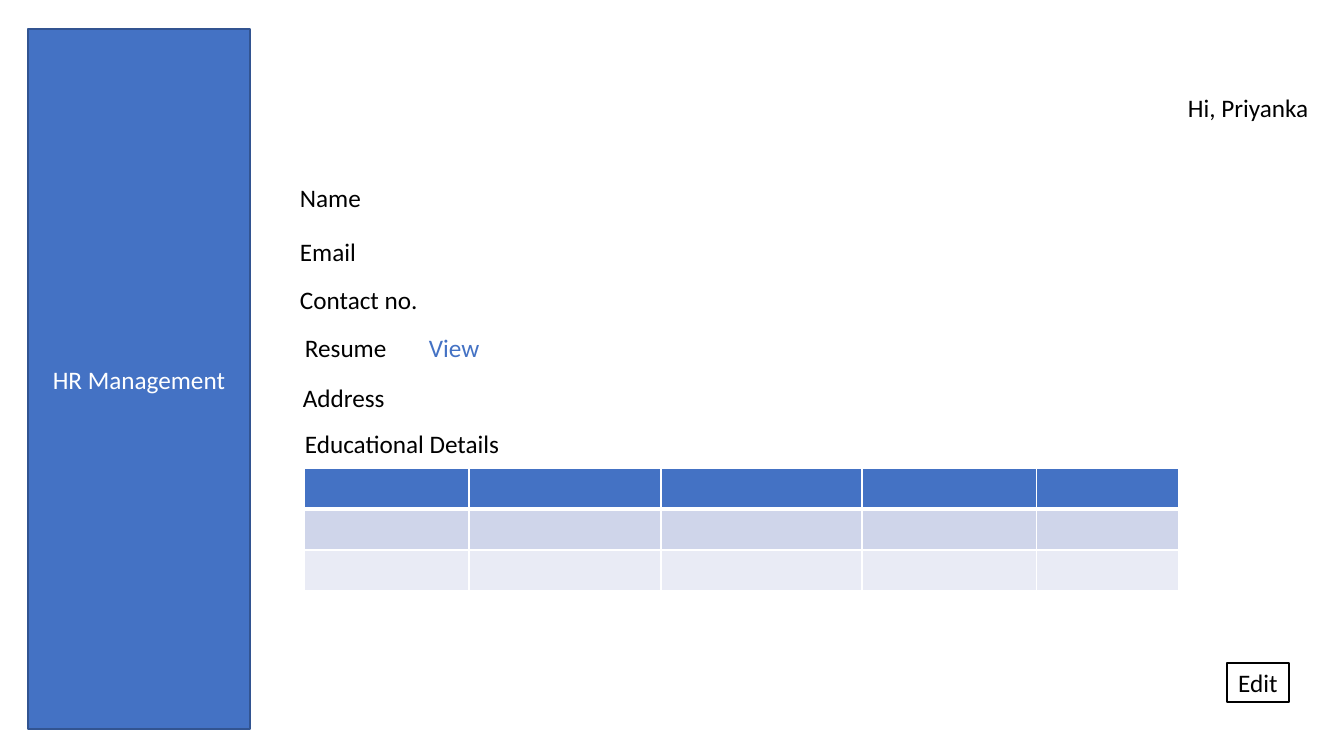
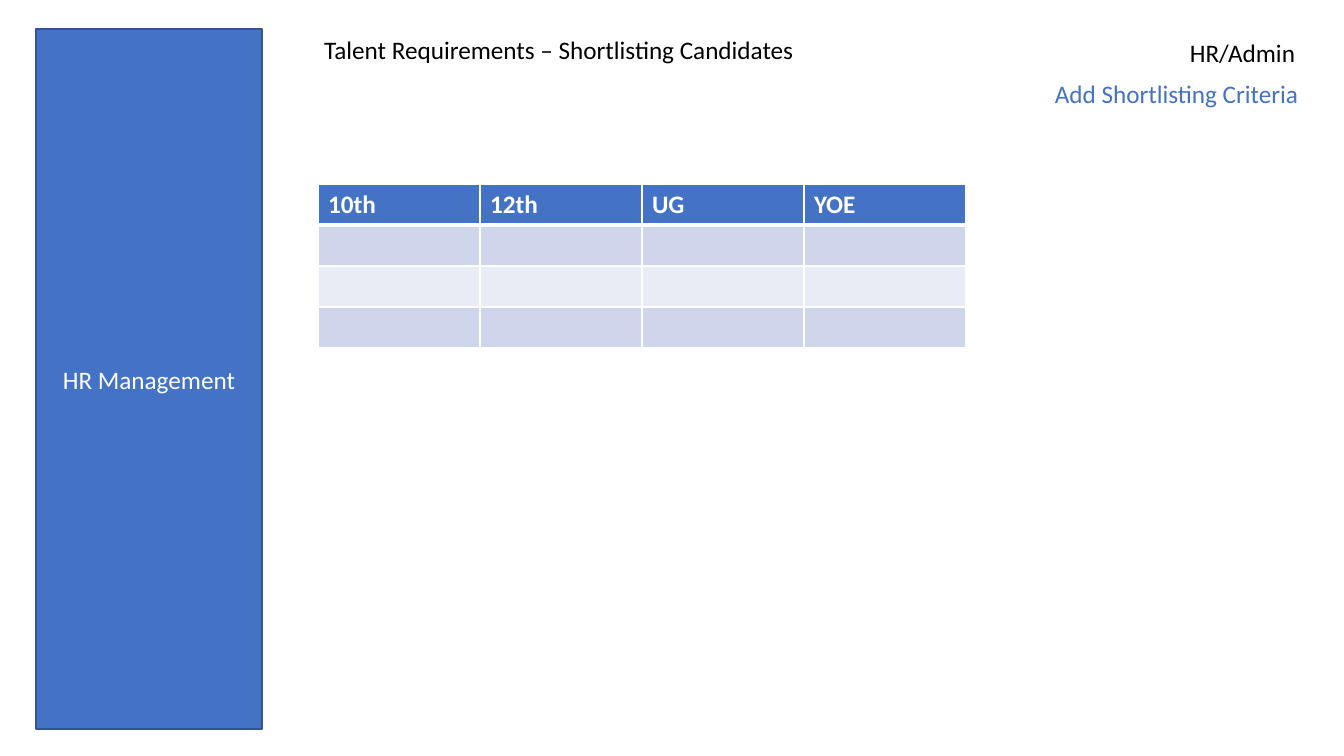
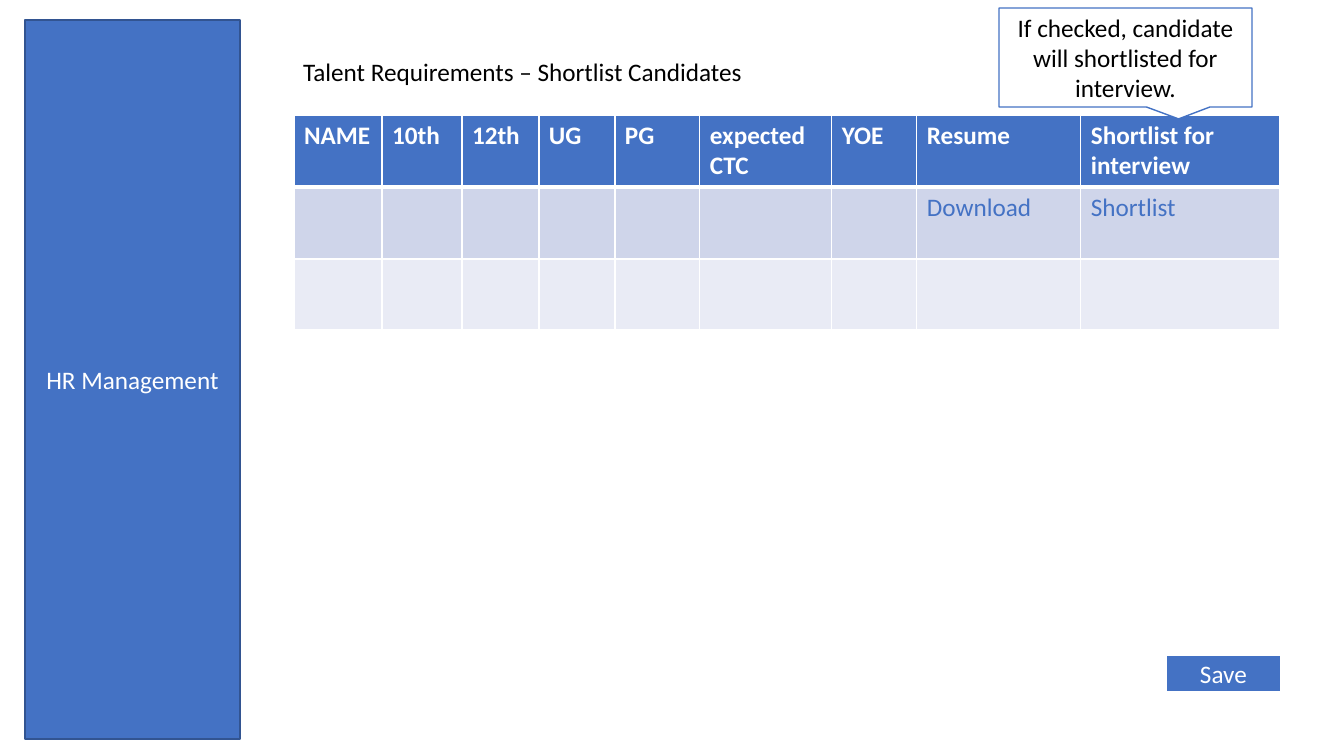
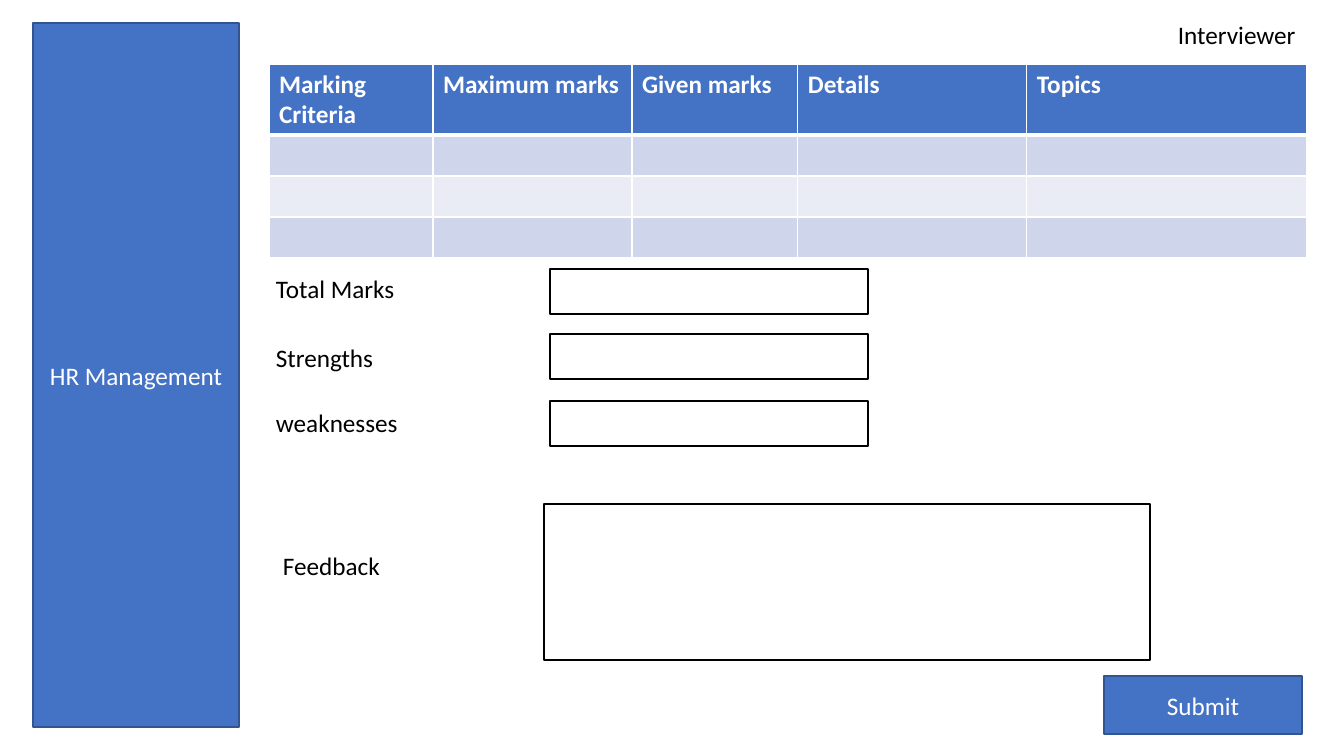
from lxml.etree import SubElement
from pptx import Presentation
from pptx.dml.color import RGBColor
from pptx.enum.shapes import MSO_SHAPE as Preset
from pptx.enum.text import MSO_ANCHOR as Anchor, MSO_AUTO_SIZE as AutoSize, PP_ALIGN as Align
from pptx.oxml.ns import qn
from pptx.util import Emu, Pt

COLORS = {
    "accent": "4472C4",
    "outline": "325491",
    "band": "CFD5EA",
    "light": "E9EBF5",
    "white": "FFFFFF",
    "black": "000000",
}
TITLE_ONLY, BLANK = 5, 6
ROW = 41


def color(name):
    return RGBColor.from_string(COLORS[name])


def px(*values):
    return [Emu(round(value * 914400 / 100.8)) for value in values]


class Deck:
    font_name = "Calibri"
    font_size = Pt(18)

    def __init__(self):
        self.presentation = Presentation()
        self.presentation.slide_width, self.presentation.slide_height = px(1344, 756)
        self.slide = None

    def add_slide(self, layout, *sidebar):
        layouts = self.presentation.slide_layouts
        self.slide = self.presentation.slides.add_slide(layouts[layout])
        self.box(*sidebar, "HR Management", "accent", "outline", "white")

    def set_text(self, frame, text, font_color, align=Align.LEFT, bold=False):
        frame.text = text
        for paragraph in frame.paragraphs:
            paragraph.alignment = align
            paragraph.font.name = self.font_name
            paragraph.font.size = self.font_size
            paragraph.font.bold = bold
            paragraph.font.color.rgb = color(font_color)

    def title(self, left, top, width, text):
        title = self.slide.shapes.title
        title.left, title.top, title.width, title.height = px(left, top, width, 40)
        frame = title.text_frame
        frame.auto_size = AutoSize.NONE
        frame.vertical_anchor = Anchor.TOP
        self.set_text(frame, text, "black")

    def label(self, left, top, width, text, font_color="black"):
        frame = self.slide.shapes.add_textbox(*px(left, top, width, 40)).text_frame
        frame.word_wrap = True
        self.set_text(frame, text, font_color)

    def box(self, left, top, width, height, text="", fill="white", line="black",
            font_color="black", line_width=1, preset=Preset.RECTANGLE):
        shape = self.slide.shapes.add_shape(preset, *px(left, top, width, height))
        shape.shadow.inherit = False
        shape.fill.solid()
        shape.fill.fore_color.rgb = color(fill)
        shape.line.color.rgb = color(line)
        shape.line.width = Pt(line_width)
        if text:
            shape.text_frame.vertical_anchor = Anchor.MIDDLE
            self.set_text(shape.text_frame, text, font_color, Align.CENTER)
        return shape

    def borders(self, cell, top, bottom):
        properties = cell._tc.get_or_add_tcPr()
        for side, width in (("L", 1), ("R", 1), ("T", top), ("B", bottom)):
            line = SubElement(properties, qn(f"a:ln{side}"), w=str(Pt(width)))
            fill = SubElement(line, qn("a:solidFill"))
            SubElement(fill, qn("a:srgbClr"), val=COLORS["white"])

    def table(self, left, top, widths, heights, headers, entries=None):
        bounds = px(left, top, sum(widths), sum(heights))
        table = self.slide.shapes.add_table(len(heights), len(widths), *bounds).table
        for column, width in zip(table.columns, px(*widths)):
            column.width = width
        cells = {(0, index): text for index, text in enumerate(headers)} | (entries or {})
        for row_index, (row, height) in enumerate(zip(table.rows, px(*heights))):
            row.height = height
            header = row_index == 0
            fill = "accent" if header else "band" if row_index % 2 else "light"
            for column_index, cell in enumerate(row.cells):
                self.borders(cell, 3 if row_index == 1 else 1, 3 if header else 1)
                cell.fill.solid()
                cell.fill.fore_color.rgb = color(fill)
                self.set_text(cell.text_frame, cells.get((row_index, column_index), ""),
                              "white" if header else "accent", bold=header)


def profile(deck):
    deck.add_slide(BLANK, 28, 29, 222, 700)
    for left, top, width, text in (
        (290, 177, 101, "Name"),
        (290, 231, 104, "Email"),
        (290, 279, 156, "Contact no."),
        (295, 327, 131, "Resume"),
        (293, 377, 133, "Address"),
        (295, 423, 234, "Educational Details"),
        (1178, 87, 147, "Hi, Priyanka"),
    ):
        deck.label(left, top, width, text)
    deck.label(419, 327, 98, "View", "accent")
    deck.table(304, 468, [165, 192, 201, 175, 142], [ROW] * 3, [])
    deck.box(1227, 663, 62, 39, "Edit")


def shortlisting_criteria(deck):
    deck.add_slide(TITLE_ONLY, 36, 29, 226, 700)
    deck.title(314, 29, 505, "Talent Requirements – Shortlisting Candidates")
    deck.label(1180, 32, 129, "HR/Admin")
    deck.label(1045, 73, 272, "Add Shortlisting Criteria", "accent")
    deck.table(318, 184, [162] * 4, [ROW] * 4, ["10th", "12th", "UG", "YOE"])


def candidate_list(deck):
    deck.add_slide(TITLE_ONLY, 25, 20, 215, 719)
    deck.title(293, 51, 484, "Talent Requirements – Shortlist Candidates")
    deck.table(
        294, 115, [88, 80, 77, 76, 85, 132, 85, 164, 199], [72, 72, 71],
        ["NAME", "10th", "12th", "UG", "PG", "expected\nCTC", "YOE", "Resume",
         "Shortlist for interview"],
        {(1, 7): "Download", (1, 8): "Shortlist"},
    )
    deck.box(1166, 655, 115, 37, "Save", "accent", "white", "white", 1.5)
    callout = deck.box(999, 8, 253, 99, "If checked, candidate will shortlisted for interview.",
                       line="accent", preset=Preset.RECTANGULAR_CALLOUT)
    callout.adjustments[0] = 0.21
    callout.adjustments[1] = 0.62


def interview_marks(deck):
    deck.add_slide(BLANK, 33, 23, 206, 704)
    deck.label(1168, 14, 140, "Interviewer")
    deck.table(269, 64, [164, 199, 166, 229, 280], [71] + [ROW] * 3,
               ["Marking Criteria", "Maximum marks", "Given marks", "Details", "Topics"])
    for label_top, box_top, text in (
        (268, 269, "Total Marks"),
        (337, 334, "Strengths"),
        (402, 401, "weaknesses"),
    ):
        deck.label(266, label_top, 223, text)
        deck.box(550, box_top, 318, 45)
    deck.label(273, 545, 240, "Feedback")
    deck.box(544, 504, 606, 156)
    deck.box(1104, 676, 198, 58, "Submit", "accent", "outline", "white")


deck = Deck()
for build in (profile, shortlisting_criteria, candidate_list, interview_marks):
    build(deck)
deck.presentation.save("out.pptx")
